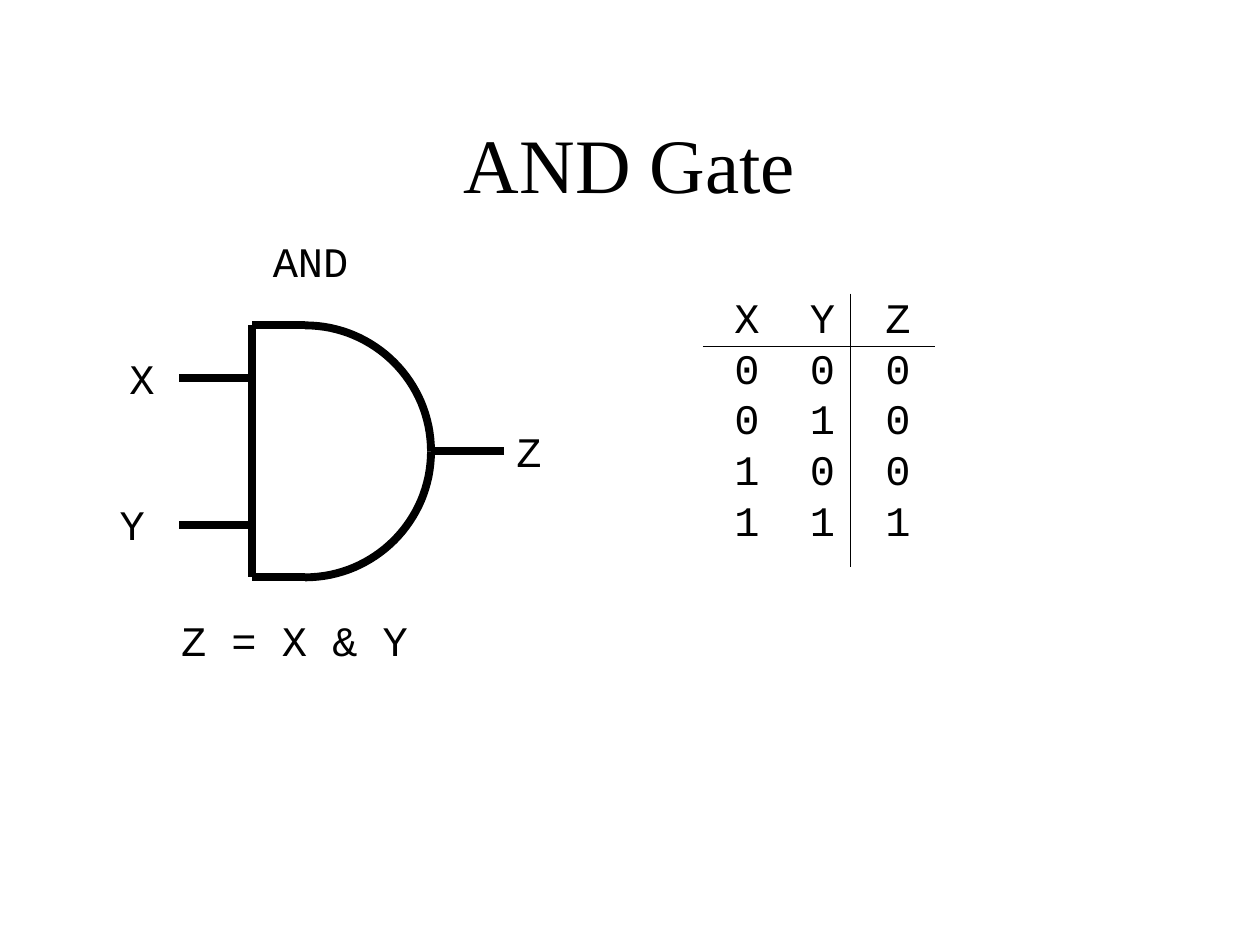
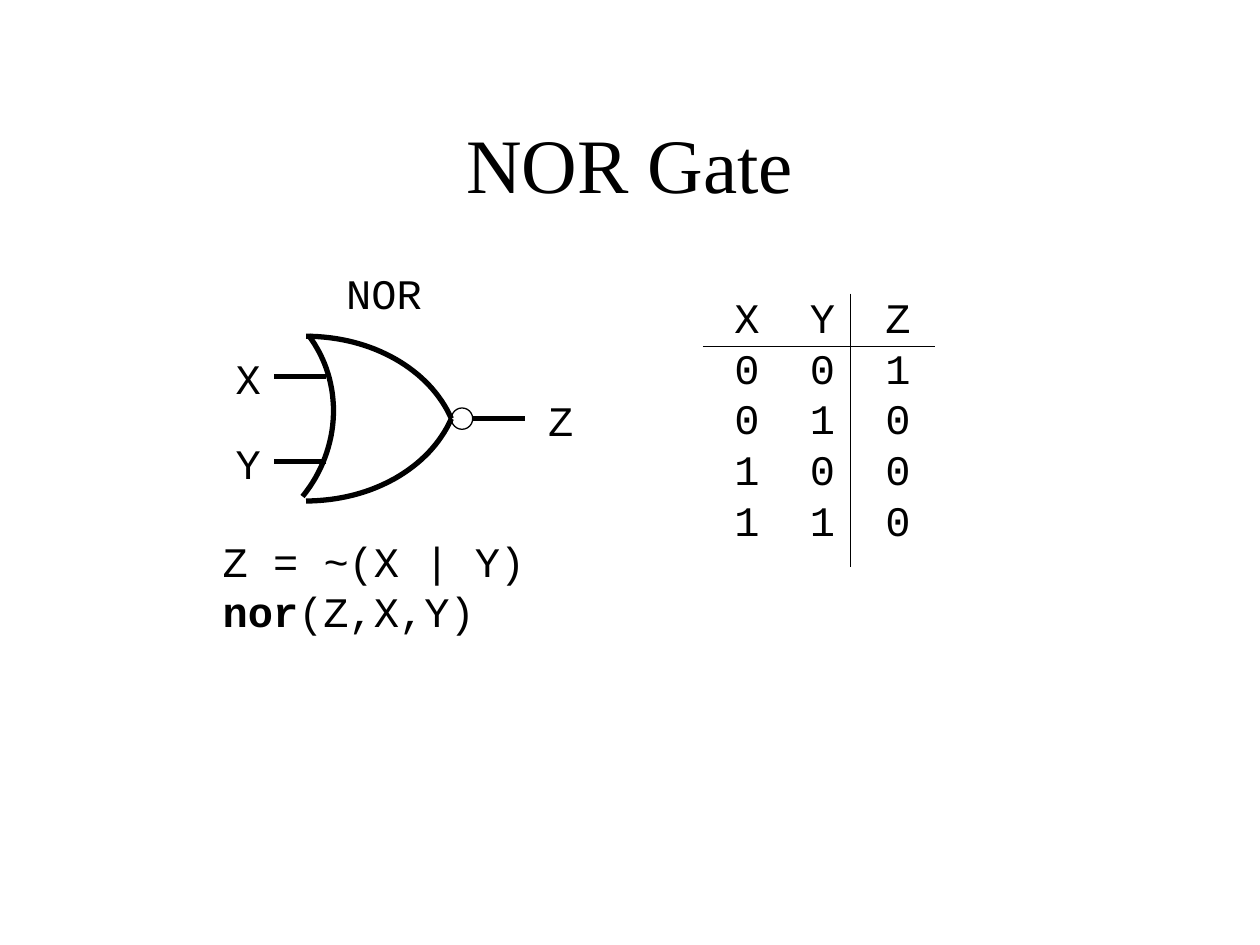
from pptx import Presentation
from pptx.dml.color import RGBColor
from pptx.enum.shapes import MSO_CONNECTOR as Link, MSO_SHAPE as Preset
from pptx.enum.text import MSO_ANCHOR as Anchor, PP_ALIGN as Align
from pptx.oxml.ns import qn
from pptx.util import Cm, Pt

COLORS = {"ink": "000000", "paper": "FFFFFF"}
TITLE_FONT = {"name": "Times New Roman", "size": Pt(44)}
CODE_FONT = {"name": "Courier New", "size": Pt(24)}
NO_MARGINS = {f"margin_{side}": 0 for side in ("left", "right", "top", "bottom")}
CHAR_WIDTH, LINE_HEIGHT = 0.51, 1.02
INPUTS = ((0, 0), (0, 1), (1, 0), (1, 1))
CURVE_STEPS = 32


def color(key):
    """Return the named colour."""
    return RGBColor.from_string(COLORS[key])


def apply(target, values):
    """Set attributes of the target from a dict."""
    for name, value in values.items():
        setattr(target, name, value)


def write(paragraph, text, font, bold=False):
    """Add a formatted run to a paragraph."""
    run = paragraph.add_run()
    run.text = text
    apply(run.font, {**font, "bold": bold})
    run.font.color.rgb = color("ink")


def outline(shape, weight):
    """Give a shape an ink line and no fill or shadow."""
    shape.shadow.inherit = False
    shape.fill.background()
    shape.line.color.rgb = color("ink")
    shape.line.width = Pt(weight)


def add_title(slide, text):
    """Add the centred slide title."""
    frame = slide.shapes.add_textbox(Cm(1.9), Cm(1.7), Cm(21.59), Cm(3.18)).text_frame
    apply(frame, {"word_wrap": True, "vertical_anchor": Anchor.MIDDLE})
    frame.paragraphs[0].alignment = Align.CENTER
    write(frame.paragraphs[0], text, TITLE_FONT)


def add_code(slide, left, top, *lines):
    """Add lines of code, each a string or a (keyword, rest) pair."""
    pairs = [("", line) if isinstance(line, str) else line for line in lines]
    width = (max(len(keyword + rest) for keyword, rest in pairs) + 1) * CHAR_WIDTH
    height = len(pairs) * LINE_HEIGHT + 0.25
    frame = slide.shapes.add_textbox(Cm(left), Cm(top), Cm(width), Cm(height)).text_frame
    frame.word_wrap = False
    for index, (keyword, rest) in enumerate(pairs):
        paragraph = frame.add_paragraph() if index else frame.paragraphs[0]
        if keyword:
            write(paragraph, keyword, CODE_FONT, bold=True)
        write(paragraph, rest, CODE_FONT)


def add_wire(slide, start, end, weight):
    """Draw a straight line between two points."""
    wire = slide.shapes.add_connector(Link.STRAIGHT, *map(Cm, start + end))
    wire.line.color.rgb = color("ink")
    wire.line.width = Pt(weight)
    properties = wire._element.spPr
    properties.append(properties.makeelement(qn("a:effectLst"), {}))


def add_curve(slide, start, pull_start, pull_end, end, weight):
    """Draw a cubic curve as an open outline."""
    points = []
    for step in range(CURVE_STEPS + 1):
        t = step / CURVE_STEPS
        shares = ((1 - t) ** 3, 3 * t * (1 - t) ** 2, 3 * t * t * (1 - t), t ** 3)
        controls = zip(start, pull_start, pull_end, end)
        points.append([Cm(sum(s * c for s, c in zip(shares, axis))) for axis in controls])
    builder = slide.shapes.build_freeform(*points[0])
    builder.add_line_segments(points[1:], close=False)
    outline(builder.convert_to_shape(), weight)


def add_truth_table(slide, outputs):
    """Add the truth table with its two rules."""
    rows = [("X", "Y", "Z")] + [(*pair, z) for pair, z in zip(INPUTS, outputs)]
    table = slide.shapes.add_table(len(rows), 3, Cm(14.3), Cm(6.02),
                                   Cm(3 * 1.52), Cm(len(rows) * LINE_HEIGHT)).table
    apply(table, {"first_row": False, "horz_banding": False})
    for row, values in zip(table.rows, rows):
        row.height = Cm(LINE_HEIGHT)
        for cell, value in zip(row.cells, values):
            apply(cell, NO_MARGINS)
            cell.fill.background()
            paragraph = cell.text_frame.paragraphs[0]
            paragraph.alignment = Align.CENTER
            write(paragraph, str(value), CODE_FONT)
    add_wire(slide, (14.17, 6.99), (18.85, 6.99), 0.75)
    add_wire(slide, (17.15, 5.92), (17.15, 11.43), 0.75)


def draw_and_gate(slide):
    """Draw the AND symbol with its wires and labels."""
    weight, axis, radius = 4.5, 9.1, 2.54
    back, shoulder, nose = 5.08, 6.15, 8.69
    for side in (-1, 1):
        edge = axis + side * radius
        add_curve(slide, (shoulder, edge), (7.55, edge),
                  (nose, axis + side * 1.4), (nose, axis), weight)
        add_wire(slide, (shoulder, edge), (back, edge), weight)
    add_wire(slide, (back, axis - radius), (back, axis + radius), weight)
    for level in (7.62, 10.58):
        add_wire(slide, (back, level), (3.6, level), weight)
    add_wire(slide, (10.16, axis), (nose, axis), weight)
    add_code(slide, 5.25, 4.62, "AND")
    add_code(slide, 2.36, 6.99, "X")
    add_code(slide, 2.16, 9.93, "Y")
    add_code(slide, 10.16, 8.46, "Z")
    add_code(slide, 3.4, 12.27, "Z = X & Y")


def draw_nor_gate(slide):
    """Draw the NOR symbol with its wires and labels."""
    weight, axis, nose, bubble_size = 3, 8.44, 9.1, 0.43
    for side in (-1, 1):
        edge = axis + side * 1.66
        add_curve(slide, (6.17, edge), (7.49, edge),
                  (8.66, axis + side), (nose, axis), weight)
    add_curve(slide, (6.22, 6.76), (6.93, 7.7), (6.89, 9.04), (6.1, 10.01), weight)
    for level in (7.59, 9.3):
        add_wire(slide, (6.58, level), (5.53, level), weight)
    add_wire(slide, (10.58, axis), (nose + bubble_size, axis), weight)
    bubble = slide.shapes.add_shape(Preset.OVAL, Cm(nose), Cm(axis - bubble_size / 2),
                                    Cm(bubble_size), Cm(bubble_size))
    outline(bubble, 0.75)
    add_code(slide, 6.73, 5.26, "NOR")
    add_code(slide, 4.5, 6.99, "X")
    add_code(slide, 4.5, 8.69, "Y")
    add_code(slide, 10.8, 7.82, "Z")
    add_code(slide, 4.24, 10.67, "Z = ~(X | Y)", ("nor", "(Z,X,Y)"))


def main():
    """Build one slide for each gate."""
    deck = Presentation()
    apply(deck, {"slide_width": Cm(25.4), "slide_height": Cm(19.05)})
    gates = (("AND Gate", draw_and_gate, (0, 0, 0, 1)),
             ("NOR Gate", draw_nor_gate, (1, 0, 0, 0)))
    for title, draw_gate, outputs in gates:
        slide = deck.slides.add_slide(deck.slide_layouts[6])
        slide.background.fill.solid()
        slide.background.fill.fore_color.rgb = color("paper")
        add_title(slide, title)
        draw_gate(slide)
        add_truth_table(slide, outputs)
    deck.save("out.pptx")


if __name__ == "__main__":
    main()
